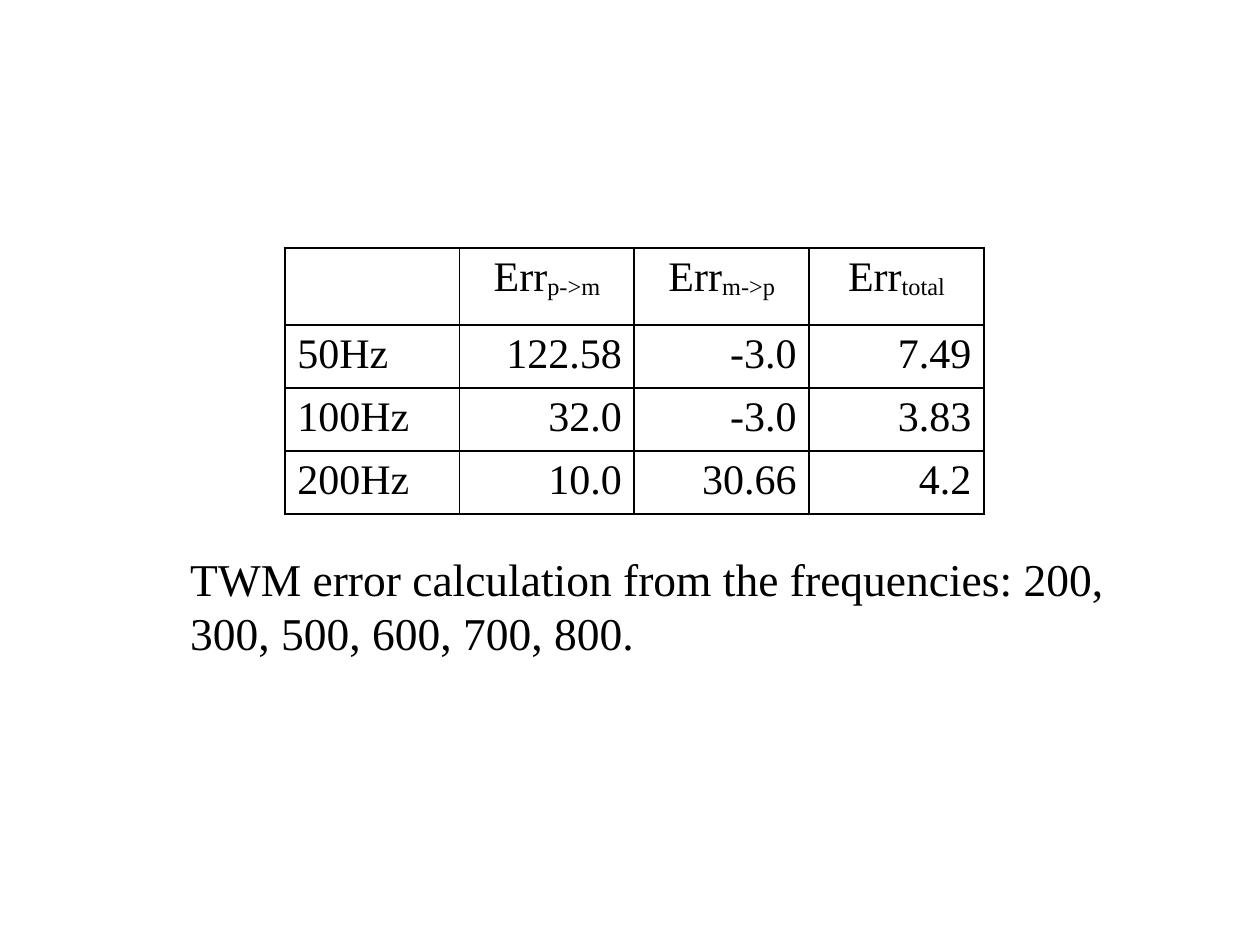
import pptx
import pptx.util
import pptx.dml.color
import pptx.enum.text
import pptx.oxml
import pptx.oxml.ns

Inches = pptx.util.Inches
Pt = pptx.util.Pt
ALIGN = pptx.enum.text.PP_ALIGN
FONT = "Times New Roman"
BLACK = "000000"
HEADS = ["", "p->m", "m->p", "total"]
ROWS = [
    ["50Hz", "122.58", "-3.0", "7.49"],
    ["100Hz", "32.0", "-3.0", "3.83"],
    ["200Hz", "10.0", "30.66", "4.2"],
]


def color(code):
    return pptx.dml.color.RGBColor.from_string(code)


def add_run(para, text, size, base=0):
    """Add a run; base shifts its baseline by a percentage."""
    run = para.add_run()
    run.text = text
    run.font.size = Pt(size)
    run.font.name = FONT
    run.font.color.rgb = color(BLACK)
    if base:
        run.font._element.set("baseline", str(base * 1000))


def add_edges(cell, width, code):
    props = cell._tc.get_or_add_tcPr()
    for side in ("lnL", "lnR", "lnT", "lnB"):
        props.append(pptx.oxml.parse_xml(
            f'<a:{side} {pptx.oxml.ns.nsdecls("a")} w="{Pt(width)}">'
            f'<a:solidFill><a:srgbClr val="{code}"/></a:solidFill></a:{side}>'))


def style_cell(cell):
    add_edges(cell, 1.13, BLACK)
    cell.fill.background()
    cell.margin_left = cell.margin_right = Inches(0.1)
    cell.margin_top = cell.margin_bottom = Inches(0.05)


def add_table(slide):
    frame = slide.shapes.add_table(
        len(ROWS) + 1, len(HEADS),
        Inches(2.26), Inches(1.97), Inches(5.55), Inches(2.12))
    table = frame.table
    table.first_row = table.horz_banding = False
    for col in table.columns:
        col.width = Inches(5.55 / len(HEADS))
    for i, row in enumerate(table.rows):
        row.height = Inches(0.5 if i else 0.61)
    for cell in table.iter_cells():
        style_cell(cell)

    for j, sub in enumerate(HEADS):
        if sub:
            para = table.cell(0, j).text_frame.paragraphs[0]
            para.alignment = ALIGN.CENTER
            add_run(para, "Err", 24)
            add_run(para, sub, 24, -8)
    for i, row in enumerate(ROWS, 1):
        for j, text in enumerate(row):
            para = table.cell(i, j).text_frame.paragraphs[0]
            para.alignment = ALIGN.RIGHT if j else ALIGN.LEFT
            add_run(para, text, 24)


def add_note(slide, text):
    box = slide.shapes.add_textbox(
        Inches(1.41), Inches(4.3), Inches(7.51), Inches(0.99))
    frame = box.text_frame
    frame.word_wrap = True
    frame.auto_size = pptx.enum.text.MSO_AUTO_SIZE.SHAPE_TO_FIT_TEXT
    frame.margin_left = frame.margin_right = Inches(0.1)
    frame.margin_top = Inches(0.07)
    frame.margin_bottom = Inches(0.05)
    add_run(frame.paragraphs[0], text, 26)


def main():
    deck = pptx.Presentation()
    deck.slide_width = Inches(10)
    deck.slide_height = Inches(7.5)
    slide = deck.slides.add_slide(deck.slide_layouts[6])
    add_note(slide, "TWM error calculation from the frequencies: "
                    "200, 300, 500, 600, 700, 800.")
    add_table(slide)
    deck.save("out.pptx")


if __name__ == "__main__":
    main()
